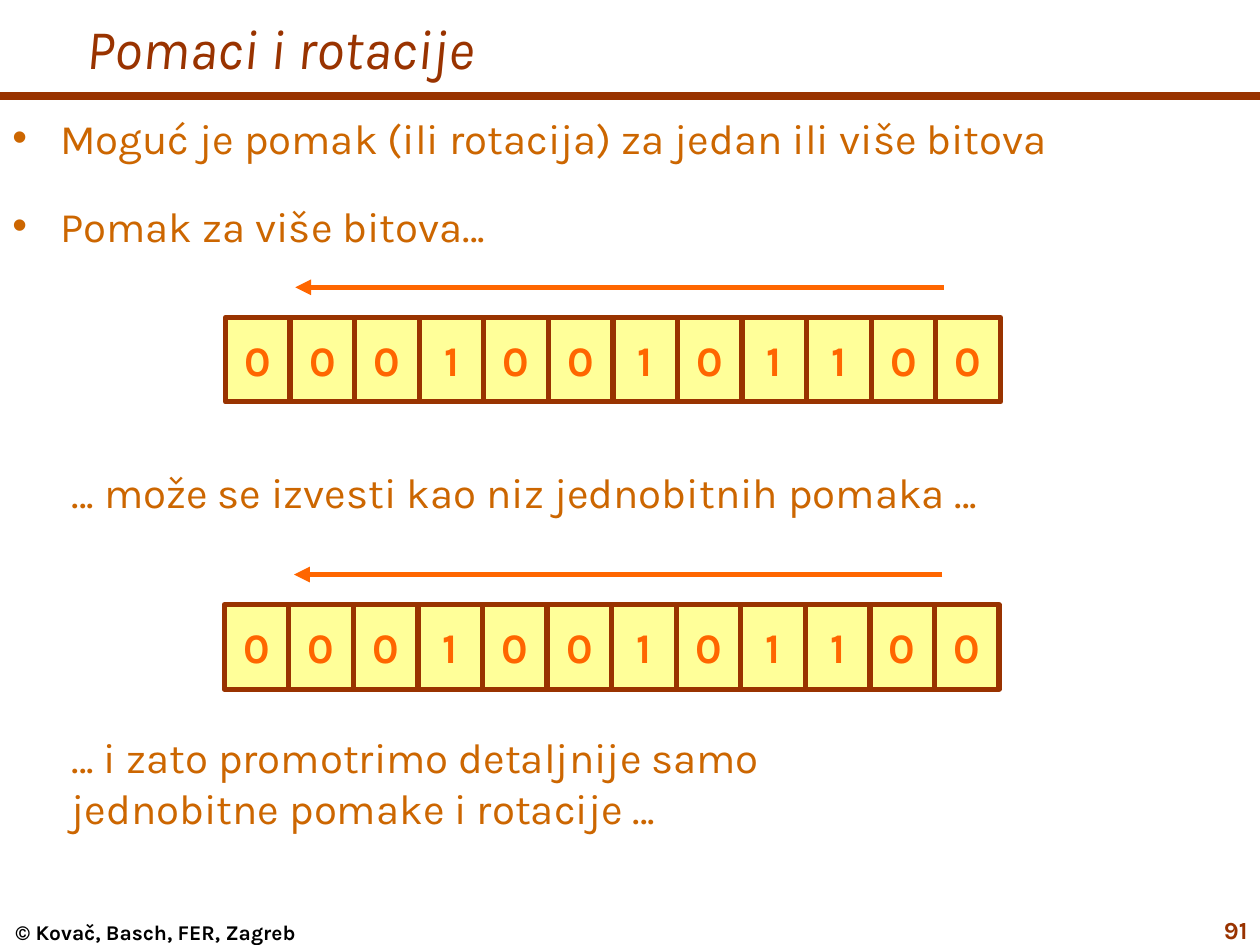
from lxml.etree import SubElement
from pptx import Presentation
from pptx.dml.color import RGBColor
from pptx.enum.shapes import MSO_CONNECTOR, MSO_SHAPE
from pptx.enum.text import MSO_ANCHOR, PP_ALIGN
from pptx.oxml.ns import qn
from pptx.util import Inches, Pt

BROWN = RGBColor(0x99, 0x33, 0x00)
OCHRE = RGBColor(0xCC, 0x66, 0x00)
ORANGE = RGBColor(0xFF, 0x66, 0x00)
YELLOW = RGBColor(0xFF, 0xFF, 0x99)
BLACK = RGBColor(0, 0, 0)

WIDTH, HEIGHT = 10, 7.5
FONT = "Karla"
BITS = "000100101100"
BIT_WIDTH = 6.15 / len(BITS)
BIT_HEIGHT = 0.67
ARROW_GAP = 0.24
BULLET_INDENT = Inches(0.38)


def write(frame, *lines, size=24, color=OCHRE, bold=False, italic=False,
          align=PP_ALIGN.LEFT, anchor=MSO_ANCHOR.TOP, margins=(0.1, 0.05), before=0):
    """Fill a text frame with one paragraph per line and return the paragraphs."""
    frame.word_wrap = True
    frame.vertical_anchor = anchor
    frame.margin_left = frame.margin_right = Inches(margins[0])
    frame.margin_top = frame.margin_bottom = Inches(margins[1])
    for index, line in enumerate(lines):
        paragraph = frame.add_paragraph() if index else frame.paragraphs[0]
        paragraph.alignment = align
        paragraph.space_before = Pt(before)
        run = paragraph.add_run()
        run.text = line
        run.font.name, run.font.size = FONT, Pt(size)
        run.font.bold, run.font.italic = bold, italic
        run.font.color.rgb = color
    return frame.paragraphs


def add_text(slide, left, top, width, height, *lines, **style):
    """Add a text box and return its paragraphs."""
    box = slide.shapes.add_textbox(Inches(left), Inches(top), Inches(width), Inches(height))
    return write(box.text_frame, *lines, **style)


def add_bullet(paragraph):
    """Give a paragraph a hanging round bullet."""
    properties = paragraph._p.get_or_add_pPr()
    properties.set("marL", str(BULLET_INDENT))
    properties.set("indent", str(-BULLET_INDENT))
    bullet_color = SubElement(properties, qn("a:buClr"))
    SubElement(bullet_color, qn("a:srgbClr")).set("val", str(OCHRE))
    SubElement(properties, qn("a:buFont")).set("typeface", "Arial")
    SubElement(properties, qn("a:buChar")).set("char", "•")


def add_line(slide, start, end, y, color, weight, arrow=False):
    """Draw a horizontal line, with an arrowhead at its end if asked."""
    line = slide.shapes.add_connector(
        MSO_CONNECTOR.STRAIGHT, Inches(start), Inches(y), Inches(end), Inches(y))
    line.line.color.rgb = color
    line.line.width = Pt(weight)
    if arrow:
        SubElement(line.line._get_or_add_ln(), qn("a:tailEnd")).set("type", "triangle")
    SubElement(line._element.spPr, qn("a:effectLst"))


def add_register(slide, left, top):
    """Draw a row of bit cells under an arrow that shows the shift to the left."""
    for column, bit in enumerate(BITS):
        cell = slide.shapes.add_shape(
            MSO_SHAPE.RECTANGLE, Inches(left + column * BIT_WIDTH), Inches(top),
            Inches(BIT_WIDTH), Inches(BIT_HEIGHT))
        cell.shadow.inherit = False
        cell.fill.solid()
        cell.fill.fore_color.rgb = YELLOW
        cell.line.color.rgb = BROWN
        cell.line.width = Pt(3)
        write(cell.text_frame, bit, color=ORANGE, bold=True, align=PP_ALIGN.CENTER,
              anchor=MSO_ANCHOR.MIDDLE, margins=(0, 0.05))
    add_line(slide, left + 11.12 * BIT_WIDTH, left + 1.08 * BIT_WIDTH,
             top - ARROW_GAP, ORANGE, 3, arrow=True)


def main():
    """Build the slide on shifts and rotations and save it."""
    deck = Presentation()
    deck.slide_width, deck.slide_height = Inches(WIDTH), Inches(HEIGHT)
    slide = deck.slides.add_slide(deck.slide_layouts[6])

    add_line(slide, 0, WIDTH, 0.76, BROWN, 4.5)
    add_text(slide, 0, 7.3, 2.47, 0.2, "© Kovač, Basch, FER, Zagreb", size=12,
             color=BLACK, bold=True, align=PP_ALIGN.CENTER, margins=(0, 0), before=7.5)
    add_text(slide, 0.59, 0, WIDTH - 0.59, 0.75, "Pomaci i rotacije", size=32,
             color=BROWN, italic=True, anchor=MSO_ANCHOR.MIDDLE)

    points = add_text(slide, 0, 0.84, WIDTH, 1.25,
                      "Moguć je pomak (ili rotacija) za jedan ili više bitova",
                      "Pomak za više bitova...", before=6)
    points[1].space_before = Pt(21.5)
    for point in points:
        add_bullet(point)

    add_register(slide, 1.79, 2.52)
    add_text(slide, 0.47, 3.65, 7.79, 0.5,
             "... može se izvesti kao niz jednobitnih pomaka ...", before=15)
    add_register(slide, 1.78, 4.8)
    add_text(slide, 0.47, 5.76, 6.37, 0.9,
             "... i zato promotrimo detaljnije samo jednobitne pomake i rotacije ...", before=15)
    add_text(slide, 9.17, 7.21, 0.83, 0.28, "91", size=14, color=BROWN, bold=True,
             align=PP_ALIGN.RIGHT)

    deck.save("out.pptx")


if __name__ == "__main__":
    main()
